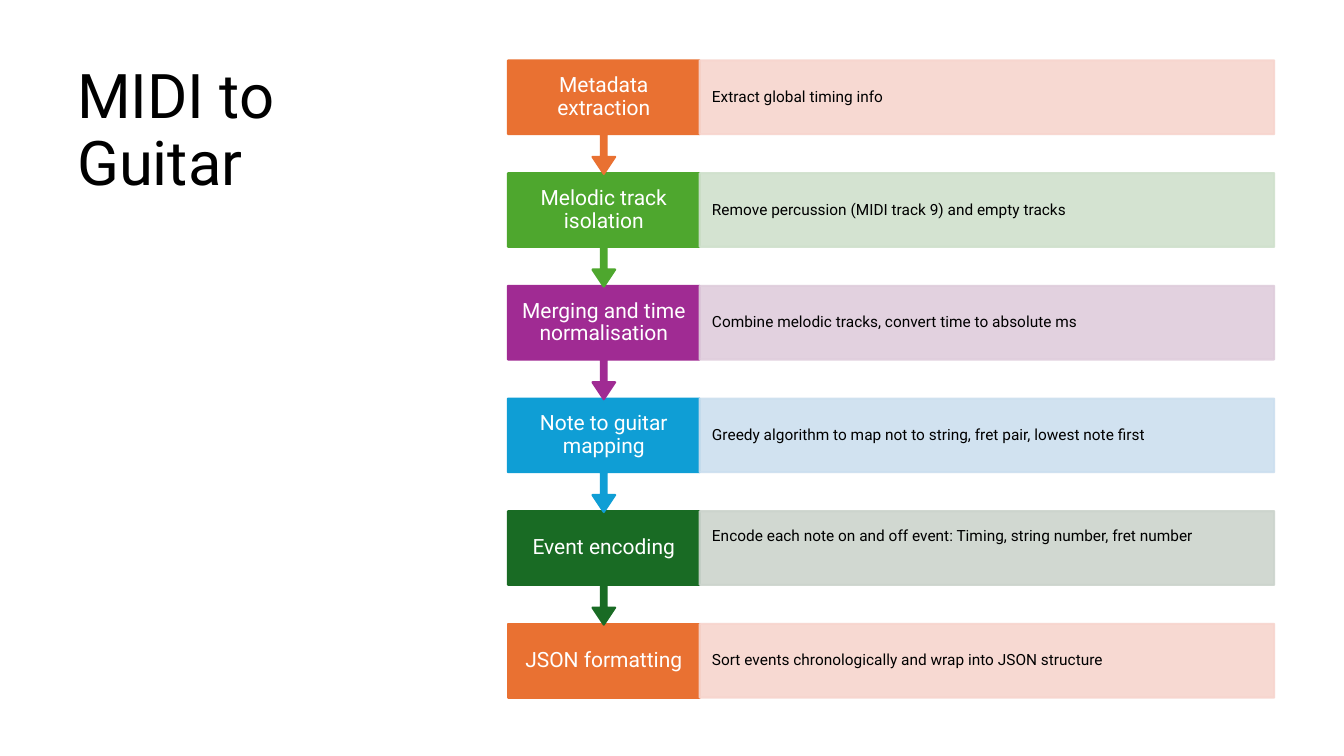
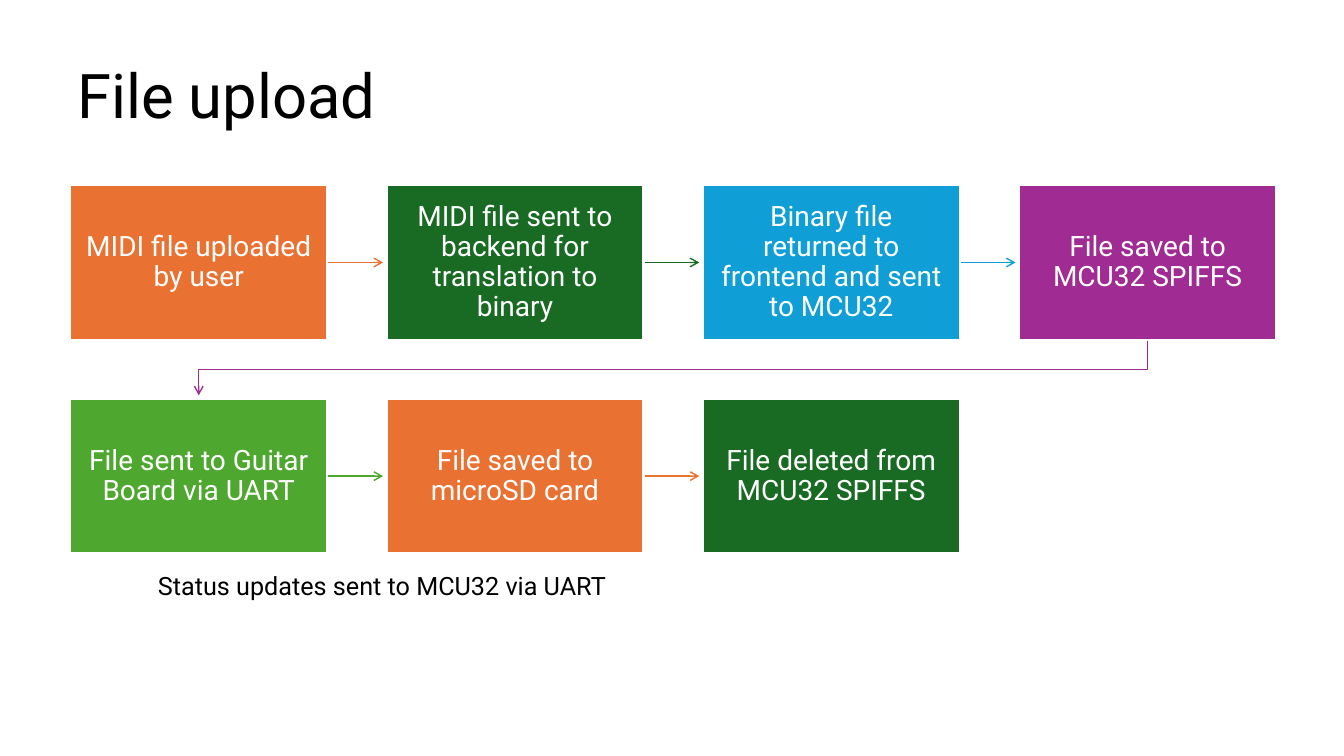
import pptx
import pptx.dml.color
import pptx.enum.shapes
import pptx.enum.text
import pptx.oxml.ns
import pptx.util
from lxml import etree

Pt = pptx.util.Pt
RGBColor = pptx.dml.color.RGBColor
SHAPES = pptx.enum.shapes.MSO_SHAPE
ALIGN = pptx.enum.text.PP_ALIGN
ANCHOR = pptx.enum.text.MSO_ANCHOR
qn = pptx.oxml.ns.qn

BLACK = RGBColor(0x00, 0x00, 0x00)
WHITE = RGBColor(0xFF, 0xFF, 0xFF)
ORANGE = RGBColor(0xE9, 0x71, 0x32)
GREEN = RGBColor(0x4E, 0xA7, 0x2E)
PURPLE = RGBColor(0xA0, 0x2B, 0x93)
BLUE = RGBColor(0x0F, 0x9E, 0xD5)
DARK_GREEN = RGBColor(0x19, 0x6B, 0x24)
TINTS = {
    ORANGE: RGBColor(0xF7, 0xD5, 0xCE),
    GREEN: RGBColor(0xD0, 0xE1, 0xCD),
    PURPLE: RGBColor(0xDF, 0xCD, 0xDC),
    BLUE: RGBColor(0xCC, 0xDF, 0xEF),
    DARK_GREEN: RGBColor(0xCC, 0xD4, 0xCD),
}

PIPELINE_STEPS = [
    ("Metadata extraction", "Extract global timing info", ORANGE),
    ("Melodic track isolation",
     "Remove percussion (MIDI track 9) and empty tracks", GREEN),
    ("Merging and time normalisation",
     "Combine melodic tracks, convert time to absolute ms", PURPLE),
    ("Note to guitar mapping",
     "Greedy algorithm to map not to string, fret pair, lowest note first", BLUE),
    ("Event encoding",
     "Encode each note on and off event: Timing, string number, fret number",
     DARK_GREEN),
    ("JSON formatting",
     "Sort events chronologically and wrap into JSON structure", ORANGE),
]
RAISED_DETAIL = "Event encoding"

UPLOAD_STEPS = [
    ("MIDI file uploaded by user", ORANGE),
    ("MIDI file sent to backend for translation to binary", DARK_GREEN),
    ("Binary file returned to frontend and sent to MCU32", BLUE),
    ("File saved to MCU32 SPIFFS", PURPLE),
    ("File sent to Guitar Board via UART", GREEN),
    ("File saved to microSD card", ORANGE),
    ("File deleted from MCU32 SPIFFS", DARK_GREEN),
]


class Deck:
    font = "Roboto"
    default_insets = (7.2, 3.6, 7.2, 3.6)

    def __init__(self):
        self.presentation = pptx.Presentation()
        self.presentation.slide_width = Pt(960)
        self.presentation.slide_height = Pt(540)
        self.slide = None

    def add_slide(self, title, title_width, title_height):
        layout = self.presentation.slide_layouts[6]
        self.slide = self.presentation.slides.add_slide(layout)
        self.text_box((48, 43.2, title_width, title_height), title, 44, spacing=0.9)

    def set_text(self, shape, text, size, color, align=ALIGN.LEFT,
                 anchor=ANCHOR.MIDDLE, insets=default_insets, spacing=0.9):
        frame = shape.text_frame
        frame.word_wrap = True
        frame.vertical_anchor = anchor
        (frame.margin_left, frame.margin_top,
         frame.margin_right, frame.margin_bottom) = map(Pt, insets)
        paragraph = frame.paragraphs[0]
        paragraph.alignment = align
        paragraph.line_spacing = spacing
        run = paragraph.add_run()
        run.text = text
        run.font.name = self.font
        run.font.size = Pt(size)
        run.font.color.rgb = color

    def text_box(self, bounds, text, size, spacing=1.0):
        shape = self.slide.shapes.add_textbox(*map(Pt, bounds))
        self.set_text(shape, text, size, BLACK, anchor=ANCHOR.TOP, spacing=spacing)

    def block(self, kind, bounds, fill, line):
        shape = self.slide.shapes.add_shape(kind, *map(Pt, bounds))
        shape.shadow.inherit = False
        shape.fill.solid()
        shape.fill.fore_color.rgb = fill
        shape.line.color.rgb = line
        shape.line.width = Pt(1.5)
        return shape

    def step_label(self, bounds, text, color, arrow_height=0):
        """Draw a step's name; an arrow height adds a down arrow below it."""
        left, top, width, height = bounds
        kind = SHAPES.DOWN_ARROW_CALLOUT if arrow_height else SHAPES.RECTANGLE
        full_height = height + arrow_height
        shape = self.block(kind, (left, top, width, full_height), color, color)
        if arrow_height:
            for index, value in enumerate((0.05, 0.1, 0.15, height / full_height)):
                shape.adjustments[index] = value
        self.set_text(shape, text, 15, WHITE, ALIGN.CENTER, insets=(10, 8.6, 10, 8.6))

    def step_detail(self, bounds, text, color, bottom_inset):
        shape = self.block(SHAPES.RECTANGLE, bounds, TINTS[color], TINTS[color])
        for tint in shape.element.spPr.iter(qn("a:srgbClr")):
            etree.SubElement(tint, qn("a:alpha"), val="90000")
        self.set_text(shape, text, 11, BLACK, insets=(8.8, 10.8, 8.8, bottom_inset))

    def flow_box(self, bounds, text, color):
        shape = self.block(SHAPES.RECTANGLE, bounds, color, WHITE)
        self.set_text(shape, text, 20, WHITE, ALIGN.CENTER, insets=(9.4,) * 4)

    def finish_arrow(self, shape, color):
        shape.line.color.rgb = color
        shape.line.width = Pt(1)
        line = shape.element.spPr.find(qn("a:ln"))
        etree.SubElement(line, qn("a:tailEnd"), type="arrow")

    def straight_arrow(self, left, right, y, color):
        connector = self.slide.shapes.add_connector(
            pptx.enum.shapes.MSO_CONNECTOR.STRAIGHT, Pt(left), Pt(y), Pt(right), Pt(y))
        self.finish_arrow(connector, color)
        etree.SubElement(connector.element.spPr, qn("a:effectLst"))

    def bent_arrow(self, points, color):
        start, *others = [(Pt(x), Pt(y)) for x, y in points]
        builder = self.slide.shapes.build_freeform(*start)
        builder.add_line_segments(others, close=False)
        shape = builder.convert_to_shape()
        shape.shadow.inherit = False
        shape.fill.background()
        self.finish_arrow(shape, color)


def build_pipeline(deck):
    deck.add_slide("MIDI to Guitar", 275, 456)
    left, top, pitch, height = 362.8, 43.2, 80.5, 52.6
    label_width, detail_width = 137, 410.4
    last = len(PIPELINE_STEPS) - 1
    # Bottom step first, so that each arrow tip lies over the step below it.
    for index, (name, detail, color) in reversed(list(enumerate(PIPELINE_STEPS))):
        y = top + index * pitch
        deck.step_label((left, y, label_width, height), name, color,
                        arrow_height=28.4 if index < last else 0)
        deck.step_detail((left + label_width, y, detail_width, height), detail, color,
                         bottom_inset=26.8 if name == RAISED_DETAIL else 10.8)


def build_upload(deck):
    deck.add_slide("File upload", 862, 89)
    left, top, width, height = 50.2, 132.4, 183.6, 110.2
    column_pitch, row_pitch, columns = 225.9, 152.6, 4
    arrow_length = 39.8
    for index, (text, color) in enumerate(UPLOAD_STEPS):
        row, column = divmod(index, columns)
        x = left + column * column_pitch
        y = top + row * row_pitch
        right, bottom = x + width, y + height
        if index < len(UPLOAD_STEPS) - 1:
            if column < columns - 1:
                deck.straight_arrow(right, right + arrow_length, y + height / 2, color)
            else:
                start_x, end_x = x + width / 2, left + width / 2
                turn_y = (bottom + y + row_pitch) / 2
                deck.bent_arrow([(start_x, bottom), (start_x, turn_y),
                                 (end_x, turn_y), (end_x, bottom + arrow_length)], color)
        deck.flow_box((x, y, width, height), text, color)
    deck.text_box((105.8, 404, 413.3, 29), "Status updates sent to MCU32 via UART", 18)


def main():
    deck = Deck()
    build_pipeline(deck)
    build_upload(deck)
    deck.presentation.save("out.pptx")


if __name__ == "__main__":
    main()
